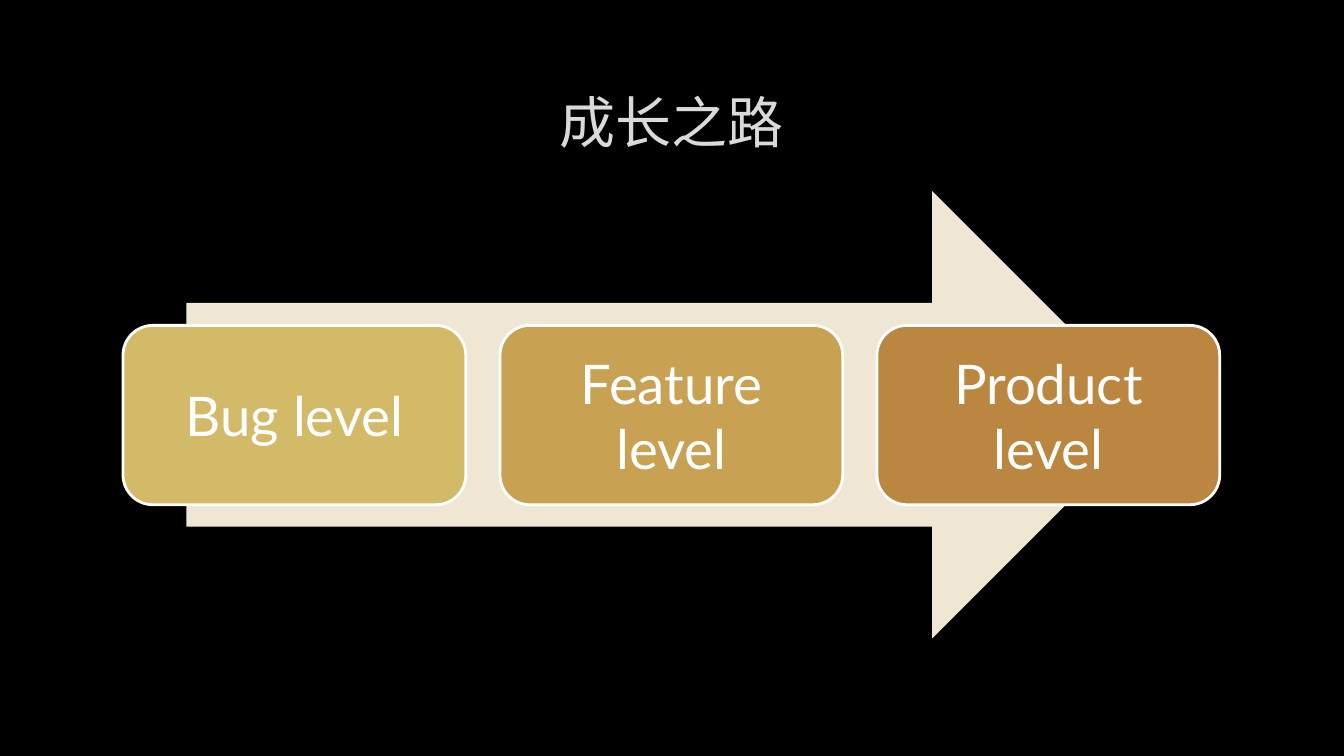
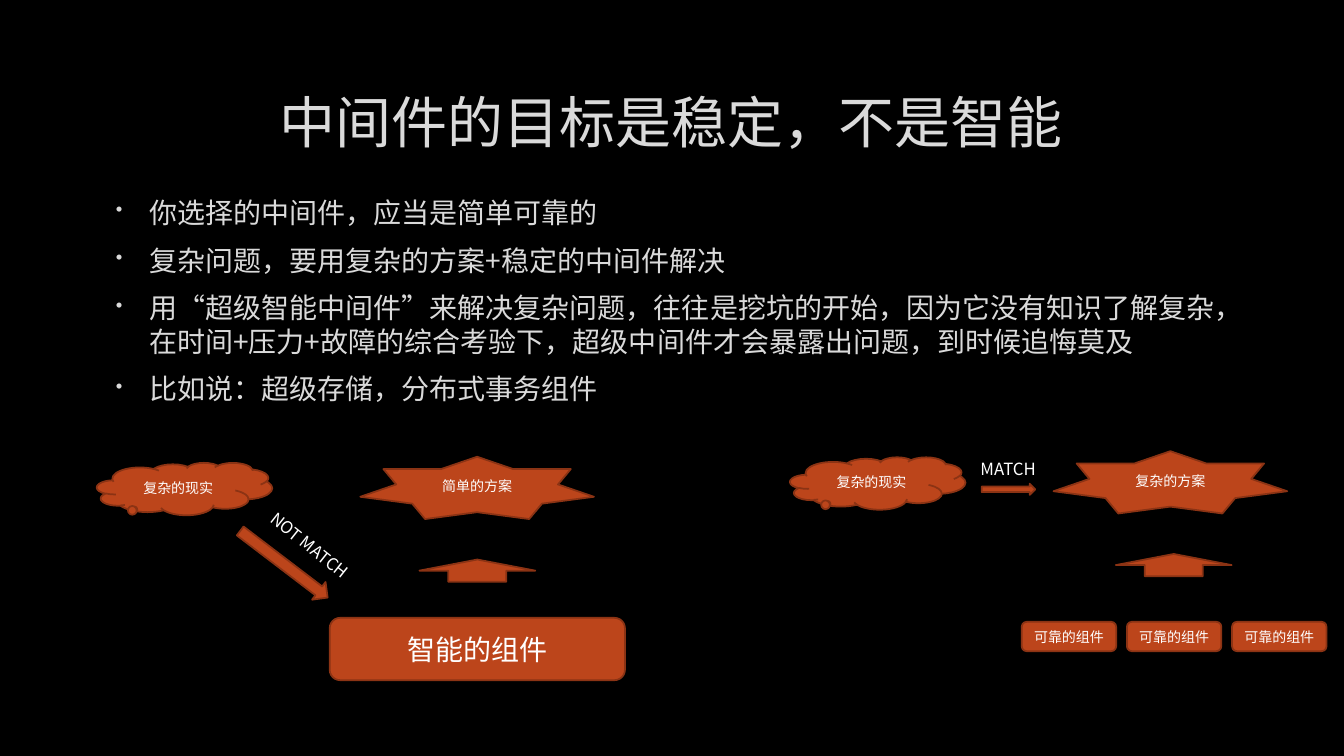
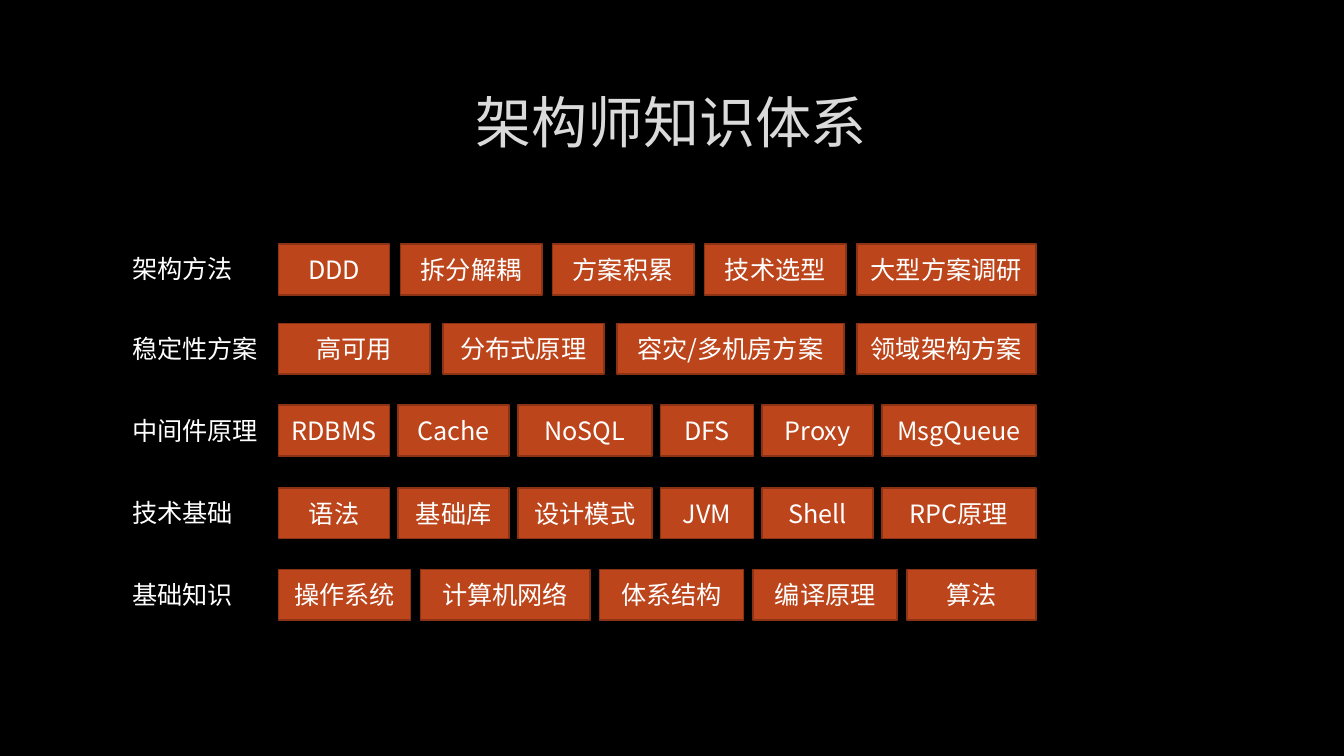
"""Build three dark slides on growing into a software architect."""
from dataclasses import dataclass
from typing import Optional

from lxml.etree import SubElement
from pptx import Presentation
from pptx.dml.color import RGBColor
from pptx.enum.shapes import MSO_SHAPE
from pptx.enum.text import MSO_ANCHOR, MSO_AUTO_SIZE, PP_ALIGN
from pptx.oxml import parse_xml
from pptx.oxml.ns import nsdecls, qn
from pptx.util import Cm, Pt

COLORS = {
    "background": "000000",
    "heading": "DADADA",
    "outline": "404040",
    "white": "FFFFFF",
    "rust": "BC451B",
    "rust_edge": "8B3314",
    "cream": "EFE7D4",
    "sand": "D3BA68",
    "ochre": "C8A153",
    "bronze": "BB8640",
}
CJK_FONT = "Noto Sans CJK SC"
LATIN_FONT = "Lato"


@dataclass(frozen=True)
class Box:
    left: float
    top: float
    width: float
    height: float

    def lengths(self) -> tuple:
        return Cm(self.left), Cm(self.top), Cm(self.width), Cm(self.height)


@dataclass(frozen=True)
class Scenario:
    left: float
    top: float
    plan: str
    support_left: float


@dataclass(frozen=True)
class KnowledgeRow:
    top: float
    label: str
    topics: tuple
    widths: tuple


TITLE_BOX = Box(2.54, 1.7, 28.75, 2.69)
LEVELS = (("Bug level", "sand"), ("Feature level", "ochre"), ("Product level", "bronze"))
BULLETS = (
    "你选择的中间件，应当是简单可靠的",
    "复杂问题，要用复杂的方案+稳定的中间件解决",
    "用“超级智能中间件”来解决复杂问题，往往是挖坑的开始，因为它没有知识了解复杂，"
    "在时间+压力+故障的综合考验下，超级中间件才会暴露出问题，到时候追悔莫及",
    "比如说：超级存储，分布式事务组件",
)
SCENARIOS = (
    Scenario(2.44, 11.66, "简单的方案", 10.57),
    Scenario(19.91, 11.52, "复杂的方案", 28.12),
)
SIX_WIDTHS = (2.8, 2.8, 3.38, 2.34, 2.8, 3.89)
ROWS_LEFT, ROWS_RIGHT, ROW_HEIGHT = 7.02, 26.11, 1.28
KNOWLEDGE = (
    KnowledgeRow(6.15, "架构方法", ("DDD", "拆分解耦", "方案积累", "技术选型", "大型方案调研"),
                 (2.8, 3.56, 3.56, 3.56, 4.52)),
    KnowledgeRow(8.15, "稳定性方案", ("高可用", "分布式原理", "容灾/多机房方案", "领域架构方案"),
                 (3.81, 4.06, 5.72, 4.52)),
    KnowledgeRow(10.21, "中间件原理", ("RDBMS", "Cache", "NoSQL", "DFS", "Proxy", "MsgQueue"),
                 SIX_WIDTHS),
    KnowledgeRow(12.29, "技术基础", ("语法", "基础库", "设计模式", "JVM", "Shell", "RPC原理"),
                 SIX_WIDTHS),
    KnowledgeRow(14.35, "基础知识", ("操作系统", "计算机网络", "体系结构", "编译原理", "算法"),
                 (3.33, 4.27, 3.63, 3.63, 3.25)),
)


def rgb(color: str) -> RGBColor:
    return RGBColor.from_string(COLORS[color])


def style_runs(paragraph, size: float, color: str = "white", font: str = CJK_FONT) -> None:
    for run in paragraph.runs:
        run.font.size = Pt(size)
        run.font.name = font
        run.font.color.rgb = rgb(color)
        SubElement(run.font._element, qn("a:ea")).set("typeface", font)


def outline_runs(paragraph) -> None:
    for run in paragraph.runs:
        run.font._element.insert(0, parse_xml(
            f'<a:ln {nsdecls("a")} w="9525"><a:solidFill><a:srgbClr val="{COLORS["outline"]}">'
            '<a:alpha val="10000"/></a:srgbClr></a:solidFill></a:ln>'))


def add_bullet(paragraph) -> None:
    properties = paragraph._p.get_or_add_pPr()
    properties.set("marL", str(Cm(0.97)))
    properties.set("indent", str(Cm(-0.84)))
    color = SubElement(properties, qn("a:buClr"))
    SubElement(color, qn("a:srgbClr")).set("val", COLORS["heading"])
    SubElement(properties, qn("a:buSzPct")).set("val", "70000")
    SubElement(properties, qn("a:buChar")).set("char", "•")


def add_panel(slide, kind: MSO_SHAPE, box: Box, text: str = "", size: float = 10,
              fill: str = "rust", edge: Optional[str] = "rust_edge",
              edge_width: float = 1.25, font: str = CJK_FONT):
    panel = slide.shapes.add_shape(kind, *box.lengths())
    panel.shadow.inherit = False
    panel.fill.solid()
    panel.fill.fore_color.rgb = rgb(fill)
    if edge:
        panel.line.color.rgb = rgb(edge)
        panel.line.width = Pt(edge_width)
    else:
        panel.line.fill.background()
    if text:
        frame = panel.text_frame
        frame.text = text
        frame.word_wrap = True
        frame.vertical_anchor = MSO_ANCHOR.MIDDLE
        frame.paragraphs[0].alignment = PP_ALIGN.CENTER
        style_runs(frame.paragraphs[0], size, font=font)
    return panel


def add_label(slide, box: Box, text: str, size: float, wrap: bool):
    label = slide.shapes.add_textbox(*box.lengths())
    frame = label.text_frame
    frame.text = text
    frame.word_wrap = wrap
    frame.auto_size = MSO_AUTO_SIZE.SHAPE_TO_FIT_TEXT
    style_runs(frame.paragraphs[0], size)
    return label


def add_titled_slide(deck, title: str):
    slide = deck.slides.add_slide(deck.slide_layouts[6])
    slide.background.fill.solid()
    slide.background.fill.fore_color.rgb = rgb("background")
    frame = slide.shapes.add_textbox(*TITLE_BOX.lengths()).text_frame
    frame.text = title
    frame.word_wrap = True
    frame.vertical_anchor = MSO_ANCHOR.MIDDLE
    heading = frame.paragraphs[0]
    heading.alignment = PP_ALIGN.CENTER
    style_runs(heading, 40, "heading")
    outline_runs(heading)
    return slide


def build_growth(deck) -> None:
    slide = add_titled_slide(deck, "成长之路")
    add_panel(slide, MSO_SHAPE.RIGHT_ARROW, Box(4.7, 4.81, 24.43, 11.28), fill="cream", edge=None)
    for index, (level, fill) in enumerate(LEVELS):
        step = add_panel(slide, MSO_SHAPE.ROUNDED_RECTANGLE,
                         Box(3.1 + 9.5 * index, 8.2, 8.64, 4.52), level, 39,
                         fill, "white", 2, LATIN_FONT)
        frame = step.text_frame
        frame.margin_left = frame.margin_right = Cm(0.41)
        frame.margin_top = frame.margin_bottom = Cm(0.41)


def add_scenario(slide, scenario: Scenario) -> None:
    left, top = scenario.left, scenario.top
    reality = add_panel(slide, MSO_SHAPE.CLOUD_CALLOUT, Box(left, top, 4.42, 1.32), "复杂的现实")
    reality.adjustments[0] = -0.29
    reality.adjustments[1] = 0.4
    add_panel(slide, MSO_SHAPE.STAR_7_POINT, Box(left + 6.64, top - 0.15, 5.89, 1.57),
              scenario.plan)
    add_panel(slide, MSO_SHAPE.UP_ARROW, Box(scenario.support_left, top + 2.44, 2.92, 0.56))


def build_middleware(deck) -> None:
    slide = add_titled_slide(deck, "中间件的目标是稳定，不是智能")
    frame = slide.shapes.add_textbox(*Box(2.54, 4.8, 28.75, 5.92).lengths()).text_frame
    frame.word_wrap = True
    frame.text = "\n".join(BULLETS)
    for point in frame.paragraphs:
        point.space_before = Pt(4)
        point.space_after = Pt(6)
        add_bullet(point)
        style_runs(point, 20, "heading")
        outline_runs(point)

    for scenario in SCENARIOS:
        add_scenario(slide, scenario)

    add_panel(slide, MSO_SHAPE.ROUNDED_RECTANGLE, Box(8.31, 15.57, 7.44, 1.57), "智能的组件", 20)
    for index in range(3):
        add_panel(slide, MSO_SHAPE.ROUNDED_RECTANGLE,
                  Box(25.75 + 2.65 * index, 15.67, 2.38, 0.74), "可靠的组件")

    mismatch = add_label(slide, Box(6.35, 13.44, 3.12, 0.76), "NOT MATCH", 12, True)
    mismatch.rotation = 38.5
    mismatch_arrow = add_panel(slide, MSO_SHAPE.RIGHT_ARROW, Box(5.77, 13.94, 2.77, 0.56))
    mismatch_arrow.rotation = 37.3
    add_label(slide, Box(24.46, 11.43, 2.36, 0.76), "MATCH", 12, True)
    add_panel(slide, MSO_SHAPE.RIGHT_ARROW, Box(24.74, 12.19, 1.35, 0.28))


def build_knowledge(deck) -> None:
    slide = add_titled_slide(deck, "架构师知识体系")
    for row in KNOWLEDGE:
        label_width = 0.51 + 0.64 * len(row.label)
        add_label(slide, Box(3.08, row.top + 0.12, label_width, 1.02), row.label, 18, False)
        gap = (ROWS_RIGHT - ROWS_LEFT - sum(row.widths)) / (len(row.widths) - 1)
        left = ROWS_LEFT
        for topic, width in zip(row.topics, row.widths):
            add_panel(slide, MSO_SHAPE.RECTANGLE, Box(left, row.top, width, ROW_HEIGHT), topic, 18)
            left += width + gap


def main() -> None:
    deck = Presentation()
    deck.slide_width = Cm(33.87)
    deck.slide_height = Cm(19.05)
    build_growth(deck)
    build_middleware(deck)
    build_knowledge(deck)
    deck.save("out.pptx")


if __name__ == "__main__":
    main()
